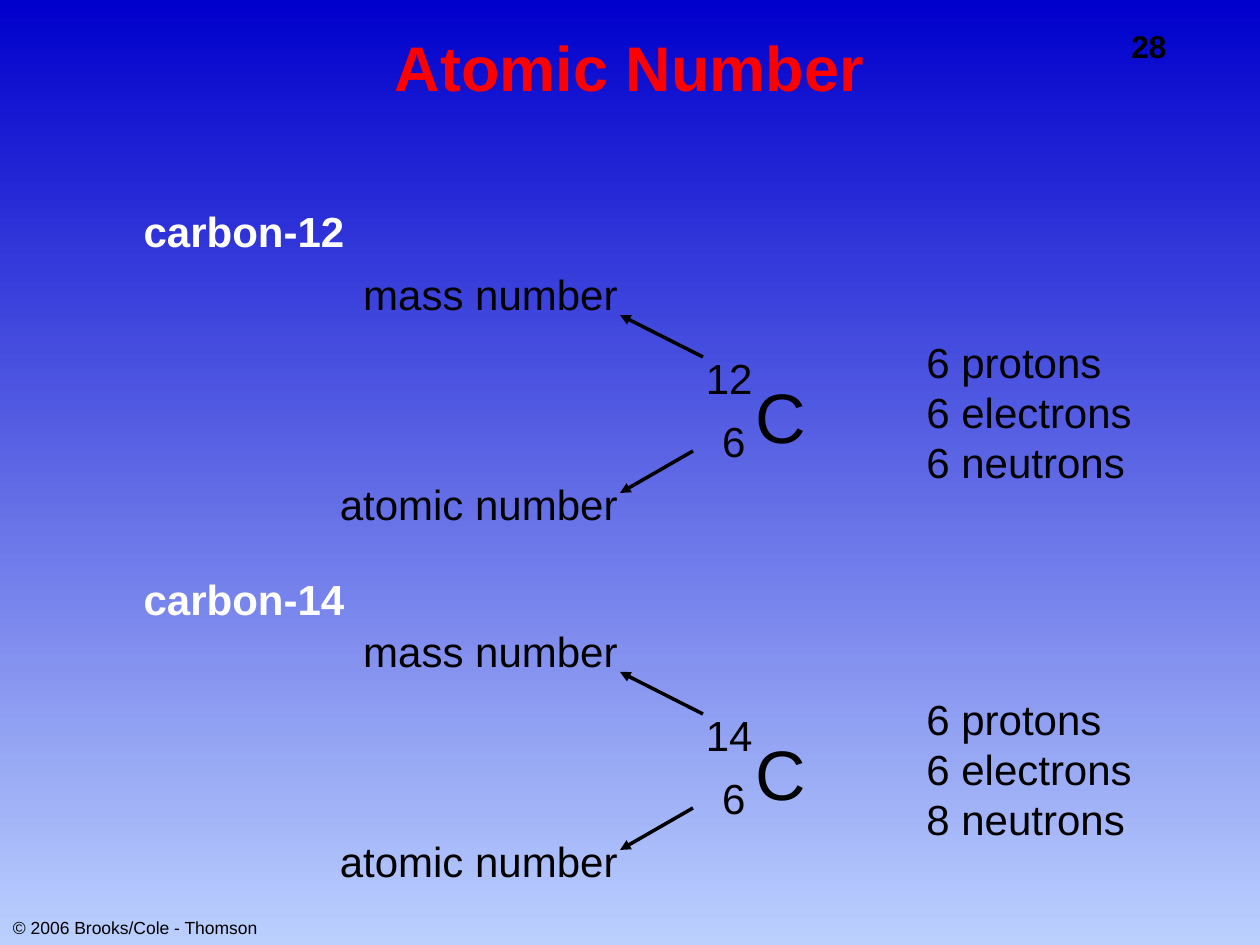
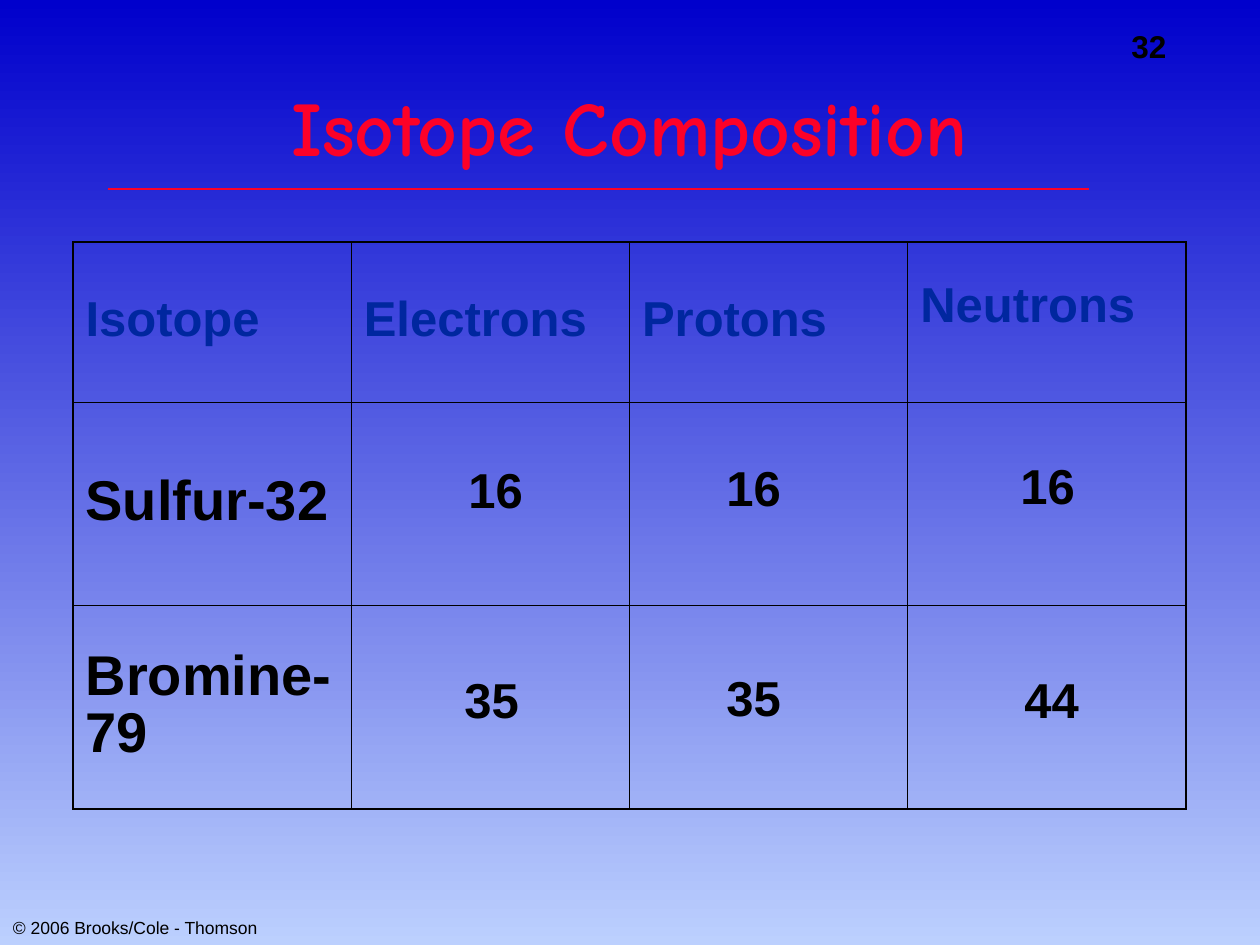
from lxml.etree import SubElement
from pptx import Presentation
from pptx.dml.color import RGBColor
from pptx.enum.shapes import MSO_CONNECTOR as Connector
from pptx.enum.text import MSO_ANCHOR as Anchor, MSO_AUTO_SIZE as AutoSize, PP_ALIGN as Align
from pptx.oxml.ns import qn
from pptx.util import Pt

PX_PER_INCH = 126
SLIDE_SIZE = (1260, 945)

BLACK = RGBColor(0x00, 0x00, 0x00)
WHITE = RGBColor(0xFF, 0xFF, 0xFF)
RED = RGBColor(0xFF, 0x00, 0x00)
CRIMSON = RGBColor(0xFC, 0x01, 0x28)
NAVY = RGBColor(0x00, 0x27, 0x9F)
SKY_TOP = RGBColor(0x00, 0x00, 0xCC)
SKY_BOTTOM = RGBColor(0xBC, 0xD0, 0xFE)

COPYRIGHT = "© 2006 Brooks/Cole - Thomson"

# Boxes are (left, top, width, height) in px.
NUMBER_BOX = (1119, 21, 141, 50)
COPYRIGHT_BOX = (0, 911, 270, 34)

ATOMIC_TITLE = dict(box=(136, 31, 987, 157), size=36, color=RED, anchor=Anchor.TOP)
ISOTOPE_TITLE = dict(box=(136, 74, 987, 116), size=44, color=CRIMSON,
                     font="Comic Neue", anchor=Anchor.MIDDLE)

CARBONS = [
    dict(name="carbon-12", name_top=199, top=262, mass="12", atomic="6",
         particles=["6 protons", "6 electrons", "6 neutrons"]),
    dict(name="carbon-14", name_top=567, top=619, mass="14", atomic="6",
         particles=["6 protons", "6 electrons", "8 neutrons"]),
]

TABLE_LEFT, TABLE_TOP, TABLE_WIDTH = 73, 242, 1113
ROW_HEIGHTS = [160, 203, 204]
HEADERS = ["Isotope", "Electrons", "Protons", "Neutrons"]
ISOTOPES = ["Sulfur-32", "Bromine-79"]
LIFTED_MARGIN = 35  # raises the last header above its neighbours
COUNTS = [
    ("16", 456, 453), ("16", 714, 451), ("16", 1008, 449),
    ("35", 452, 663), ("35", 714, 661), ("44", 1012, 663),
]
COUNT_SIZE = (84, 72)
RULE = ((108, 189), (1089, 189))


def emu(px):
    return round(px * 914400 / PX_PER_INCH)


def write(frame, lines, size=24, color=BLACK, bold=False, font="Arial",
          align=Align.LEFT, anchor=Anchor.TOP, spacing=None):
    frame.vertical_anchor = anchor
    for index, line in enumerate(lines):
        para = frame.paragraphs[0] if index == 0 else frame.add_paragraph()
        para.alignment = align
        para.line_spacing = spacing
        span = para.add_run()
        span.text = line
        span.font.name, span.font.size, span.font.bold = font, Pt(size), bold
        span.font.color.rgb = color


def add_text(shapes, box, *lines, **style):
    frame = shapes.add_textbox(*map(emu, box)).text_frame
    frame.word_wrap = False
    frame.auto_size = AutoSize.SHAPE_TO_FIT_TEXT
    write(frame, lines, **style)


def add_line(page, start, end, color, width, arrow=False):
    line = page.shapes.add_connector(Connector.STRAIGHT, *map(emu, start + end))
    line.line.color.rgb = color
    line.line.width = Pt(width)
    if arrow:
        SubElement(line.line._get_or_add_ln(), qn("a:tailEnd"), type="triangle")
    SubElement(line._element.spPr, qn("a:effectLst"))


def add_page(deck, number, title, box, **style):
    page = deck.slides.add_slide(deck.slide_layouts.get_by_name("Title Only"))
    add_text(page.shapes, NUMBER_BOX, number, size=18, bold=True)
    add_text(page.shapes, COPYRIGHT_BOX, COPYRIGHT, size=10, align=Align.CENTER)
    holder = page.shapes.title
    holder.left, holder.top, holder.width, holder.height = map(emu, box)
    holder.text_frame.auto_size = AutoSize.NONE
    write(holder.text_frame, [title], bold=True, align=Align.CENTER, spacing=0.9, **style)
    return page


def add_carbon(page, name, name_top, top, mass, atomic, particles):
    """Draw one labelled nuclide; everything but its name hangs from top."""
    add_text(page.shapes, (131, name_top, 226, 63), name, color=WHITE, bold=True,
             align=Align.CENTER, anchor=Anchor.MIDDLE)
    symbol = page.shapes.add_group_shape().shapes
    add_text(symbol, (743, top + 105, 76, 97), "C", size=40,
             align=Align.CENTER, anchor=Anchor.MIDDLE)
    numbers = dict(align=Align.RIGHT, anchor=Anchor.BOTTOM)
    add_text(symbol, (693, top + 84, 72, 63), mass, **numbers)
    add_text(symbol, (709, top + 147, 49, 63), atomic, **numbers)
    labels = dict(align=Align.RIGHT, anchor=Anchor.MIDDLE)
    add_text(page.shapes, (324, top + 210, 306, 63), "atomic number", **labels)
    add_text(page.shapes, (349, top, 281, 63), "mass number", **labels)
    add_line(page, (703, top + 95), (620, top + 53), BLACK, 2, arrow=True)
    add_line(page, (693, top + 189), (620, top + 231), BLACK, 2, arrow=True)
    add_text(page.shapes, (914, top + 68, 231, 164), *particles)


def set_borders(cell, outer_sides):
    """Rule all four sides, heavier where the side is on the table's edge."""
    props = cell._tc.get_or_add_tcPr()
    for index, side in enumerate("LRTB"):
        width = Pt(1.08 if side in outer_sides else 0.45)
        border = SubElement(props, qn(f"a:ln{side}"), w=str(width))
        fill = SubElement(border, qn("a:solidFill"))
        SubElement(fill, qn("a:srgbClr"), val=str(BLACK))
        props.insert(index, border)


def add_isotope_table(page):
    rows, columns = len(ROW_HEIGHTS), len(HEADERS)
    box = (TABLE_LEFT, TABLE_TOP, TABLE_WIDTH, sum(ROW_HEIGHTS))
    table = page.shapes.add_table(rows, columns, *map(emu, box)).table
    table.first_row = table.horz_banding = False
    for row, height in zip(table.rows, ROW_HEIGHTS):
        row.height = emu(height)
    for r in range(rows):
        for c in range(columns):
            cell = table.cell(r, c)
            cell.fill.background()
            edges = {"L": c == 0, "R": c == columns - 1, "T": r == 0, "B": r == rows - 1}
            set_borders(cell, [side for side, outer in edges.items() if outer])
    entries = [(0, c, text, 28, NAVY) for c, text in enumerate(HEADERS)]
    entries += [(r, 0, text, 32, BLACK) for r, text in enumerate(ISOTOPES, 1)]
    for r, c, text, size, color in entries:
        cell = table.cell(r, c)
        write(cell.text_frame, [text], size=size, color=color, bold=True, spacing=0.9)
        cell.vertical_anchor = Anchor.MIDDLE
    table.cell(0, columns - 1).margin_bottom = emu(LIFTED_MARGIN)


def main():
    deck = Presentation()
    deck.slide_width, deck.slide_height = map(emu, SLIDE_SIZE)
    sky = deck.slide_master.background.fill
    sky.gradient()
    sky.gradient_angle = 270
    for stop, color in zip(sky.gradient_stops, (SKY_TOP, SKY_BOTTOM)):
        stop.color.rgb = color

    page = add_page(deck, "28", "Atomic Number", **ATOMIC_TITLE)
    for carbon in CARBONS:
        add_carbon(page, **carbon)

    page = add_page(deck, "32", "Isotope Composition", **ISOTOPE_TITLE)
    add_isotope_table(page)
    add_line(page, *RULE, CRIMSON, 1)
    for count, left, top in COUNTS:
        add_text(page.shapes, (left, top, *COUNT_SIZE), count, size=28, bold=True)

    deck.save("out.pptx")


if __name__ == "__main__":
    main()
